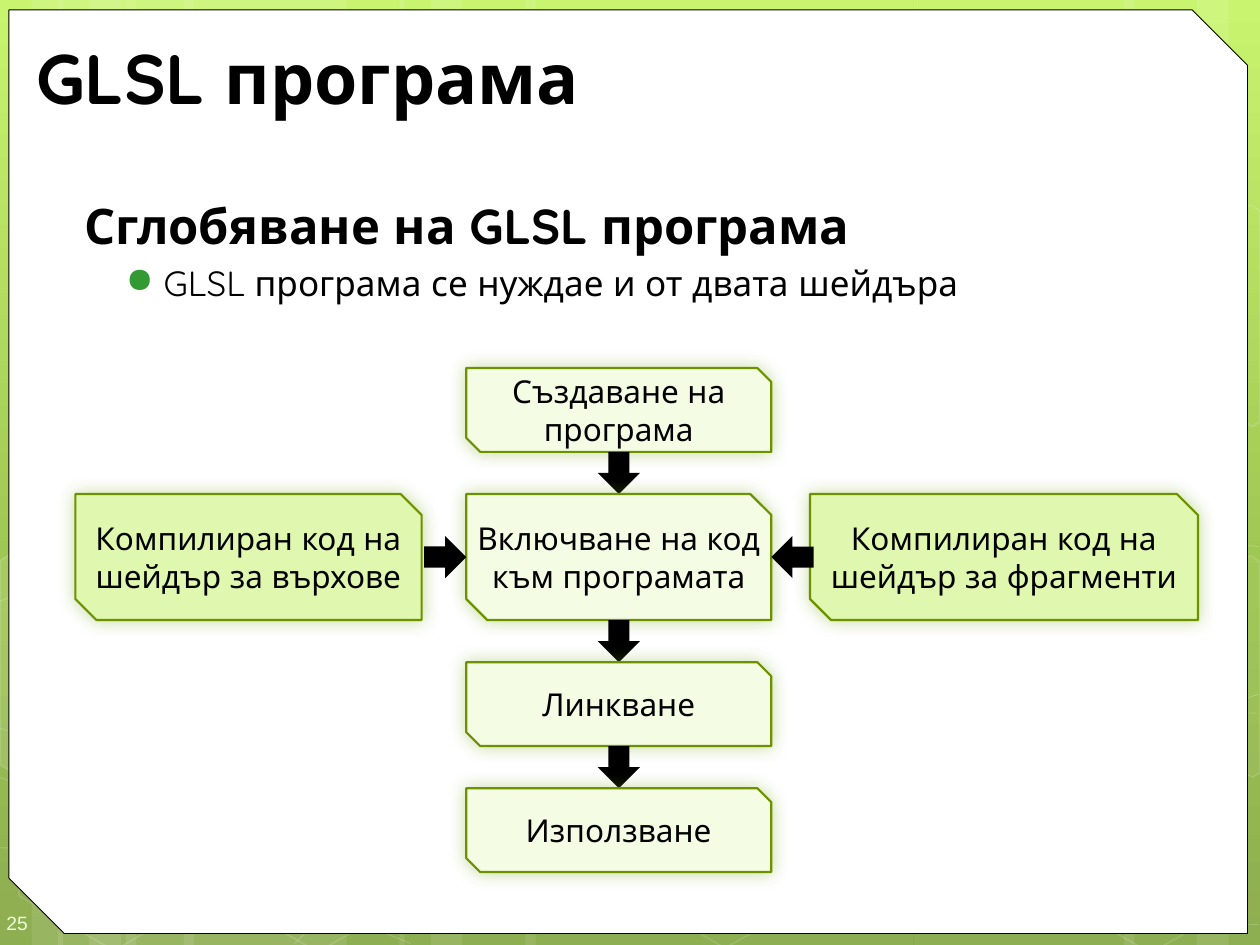
from dataclasses import dataclass

from lxml import etree
from pptx import Presentation
from pptx import util as u
from pptx.dml import color
from pptx.enum import shapes, text
from pptx.oxml import ns


@dataclass(frozen=True)
class Theme:
    font: str = "Quicksand"
    plain: str = "Arial"
    ink: str = "000000"
    paper: str = "FFFFFF"
    page: str = "EEFFD6"
    dot: str = "339933"
    edge: str = "6D9200"
    glow: str = "74A510"
    step: str = "F4FCE4"
    code: str = "DFF7AE"
    sky: tuple = ((0, "C3F35F"), (62, "93BF3F"), (100, "81A53E"))
    title: int = 40
    head: int = 28
    body: int = 20
    node: int = 18
    num: int = 11


T = Theme()
KIND = shapes.MSO_SHAPE
MID = text.MSO_ANCHOR.MIDDLE
WIDE, HIGH = 25.4, 19.05


def put(obj, **vals):
    for key, val in vals.items():
        setattr(obj, key, val)


def sub(node, tag, **vals):
    return etree.SubElement(node, ns.qn(tag), {k: str(v) for k, v in vals.items()})


def rgb(code):
    return color.RGBColor.from_string(code)


def fade(shape, where, pct):
    for tint in shape.element.spPr.xpath(where + "a:solidFill/a:srgbClr"):
        sub(tint, "a:alpha", val=pct * 1000)


def paint(shape, fill=None, line=None, width=1, clear=100, faint=100):
    shape.shadow.inherit = False
    for part, tint in ((shape.fill, fill), (shape.line.fill, line)):
        if tint:
            part.solid()
            part.fore_color.rgb = rgb(tint)
        else:
            part.background()
    if line:
        shape.line.width = u.Pt(width)
    if clear < 100:
        fade(shape, "", clear)
    if faint < 100:
        fade(shape, "a:ln/", faint)
    return shape


def block(slide, kind, box, **look):
    return paint(slide.shapes.add_shape(kind, *map(u.Cm, box)), **look)


def trace(slide, pts, close, **look):
    ends = [(u.Cm(x), u.Cm(y)) for x, y in pts]
    pen = slide.shapes.build_freeform(*ends[0])
    pen.add_line_segments(ends[1:], close=close)
    return paint(pen.convert_to_shape(), **look)


def write(para, words, size, tint=T.ink, bold=False, font=T.font):
    run = para.add_run()
    run.text = words
    put(run.font, size=u.Pt(size), bold=bold, name=font)
    run.font.color.rgb = rgb(tint)


def frame(slide, box, **vals):
    area = slide.shapes.add_textbox(*map(u.Cm, box)).text_frame
    put(area, word_wrap=True, **vals)
    return area


def sky(slide):
    fill = slide.background.fill
    fill.gradient()
    fill.gradient_angle = 270
    stops = slide.element.xpath(".//p:bg//a:gsLst")[0]
    for old in list(stops):
        stops.remove(old)
    for pos, tint in T.sky:
        sub(sub(stops, "a:gs", pos=pos * 1000), "a:srgbClr", val=tint)


def decor(slide):
    bands = [(2.54, 4.45), (0, 1.27), (0.64, 2.11), (3.71, 4.45),
             (1.17, 1.27), (1.8, 2.11), (18.42, 4.45), (24.13, 1.27),
             (22.66, 2.11), (10.59, 7.82), (8.05, 1.27), (8.69, 2.11)]
    for left, wide in bands:
        block(slide, KIND.RECTANGLE, (left, 0, wide, HIGH), fill=T.paper, clear=10)
    waves = [
        [(0, 17.09), (4.62, 17.22), (11.43, 16.89), (19.89, 15.67), (25.37, 14)],
        [(0, 12.12), (2.87, 10.95), (8.61, 9.83), (16.41, 9.83), (25.37, 11.02)],
        [(0, 15.67), (8.28, 19.02)],
        [(0, 14.68), (3.05, 15.65), (8.84, 17.09), (15.75, 18.24),
         (21.44, 18.69), (25.37, 18.64)],
        [(5.94, 19.02), (7.47, 17.55), (9.63, 16.23), (15.24, 14.68),
         (22.3, 14.27), (25.35, 14.38)],
    ]
    for pts in waves:
        trace(slide, pts, False, line=T.paper, width=0.5, faint=20)
    rim = dict(line=T.paper, faint=12)
    for left, top in [(0.08, 15.01), (4.19, 15.04), (12.4, 14.96), (20.98, 15.06)]:
        cell = block(slide, KIND.HEXAGON, (left, top, 4.45, 3.86), **rim)
        cell.rotation = 30
        cell.adjustments[0] = 0.29
    west = [(0, 11.3), (0.28, 11.13), (2.21, 12.24), (2.21, 14.48),
            (0.3, 15.6), (0, 15.42)]
    east = [(23.32, 12.32), (25.22, 11.2), (25.4, 11.33), (25.4, 15.57),
            (25.25, 15.67), (23.29, 14.55)]
    trace(slide, west, True, fill=T.paper, clear=10, **rim)
    trace(slide, east, True, fill=T.paper, clear=4, **rim)
    trace(slide, [(x, y - 7.07) for x, y in east], True, **rim)


def card(slide, box):
    sheet = block(slide, KIND.SNIP_2_DIAG_RECTANGLE, box,
                  fill=T.paper, line=T.ink, width=0.5)
    sheet.adjustments[1] = 0.06


def page(slide, box, num):
    area = frame(slide, box, vertical_anchor=MID, margin_left=u.Cm(0.13),
                 margin_top=u.Cm(0.38), margin_right=0, margin_bottom=u.Cm(0.25))
    write(area.paragraphs[0], num, T.num, T.page, font=T.plain)


def title(slide, box, words):
    area = frame(slide, box, vertical_anchor=MID)
    write(area.paragraphs[0], words, T.title, bold=True)


def body(slide, box, head, point):
    area = frame(slide, box)
    first, item = area.paragraphs[0], area.add_paragraph()
    first._p.get_or_add_pPr().set("marL", str(u.Cm(0.18)))
    write(first, head, T.head, bold=True)
    props = item._p.get_or_add_pPr()
    put(item, level=1, space_before=u.Pt(4))
    for key, val in (("marL", 1.78), ("indent", -0.76)):
        props.set(key, str(u.Cm(val)))
    sub(sub(props, "a:buClr"), "a:srgbClr", val=T.dot)
    sub(props, "a:buChar", char="●")
    write(item, point, T.body)


def node(slide, box, words, fill):
    shape = block(slide, KIND.SNIP_2_DIAG_RECTANGLE, box,
                  fill=fill, line=T.edge, width=1.25)
    glow = sub(shape.element.spPr.find(ns.qn("a:effectLst")), "a:outerShdw",
               blurRad=u.Pt(10), dist=0, dir=45 * 60000, rotWithShape=0)
    sub(sub(glow, "a:srgbClr", val=T.glow), "a:alpha", val=40000)
    area = shape.text_frame
    put(area, word_wrap=True, vertical_anchor=MID, margin_left=0, margin_right=0,
        margin_top=u.Cm(0.13), margin_bottom=u.Cm(0.13))
    para = area.paragraphs[0]
    para.alignment = text.PP_ALIGN.CENTER
    write(para, words, T.node)


def arrow(slide, left, top, side, turn):
    block(slide, KIND.RIGHT_ARROW, (left, top, side, side), fill=T.ink).rotation = turn


def flow(slide, box):
    left, top, wide, high = box
    col, span, low, tall, gap = left + 7.88, 6.15, 1.69, 2.54, 0.85
    steps = [("Създаване на програма", low), ("Включване на код към програмата", tall),
             ("Линкване", low), ("Използване", low)]
    y = top
    for i, (words, size) in enumerate(steps):
        if i:
            arrow(slide, col + (span - gap) / 2, y - gap, gap, 90)
        node(slide, (col, y, span, size), words, T.step)
        y += size + gap
    row = top + low + gap
    node(slide, (left, row, 6.98, tall), "Компилиран код на шейдър за върхове", T.code)
    node(slide, (left + wide - 7.82, row, 7.82, tall),
         "Компилиран код на шейдър за фрагменти", T.code)
    mid = row + (tall - gap) / 2
    arrow(slide, col - gap, mid, gap, 0)
    arrow(slide, col + span, mid, gap, 180)


def main():
    deck = Presentation()
    put(deck, slide_width=u.Cm(WIDE), slide_height=u.Cm(HIGH))
    slide = deck.slides.add_slide(deck.slide_layouts[6])
    sky(slide)
    decor(slide)
    card(slide, (0.18, 0.2, 24.97, 18.62))
    page(slide, (0, 18.03, 1.47, 1.02), "25")
    title(slide, (0.48, 0.64, 24.05, 1.8), "GLSL програма")
    body(slide, (1.27, 3.81, 23.93, 3.2), "Сглобяване на GLSL програма",
         "GLSL програма се нуждае и от двата шейдъра")
    flow(slide, (1.52, 7.42, 22.63, 10.16))
    deck.save("out.pptx")


if __name__ == "__main__":
    main()
